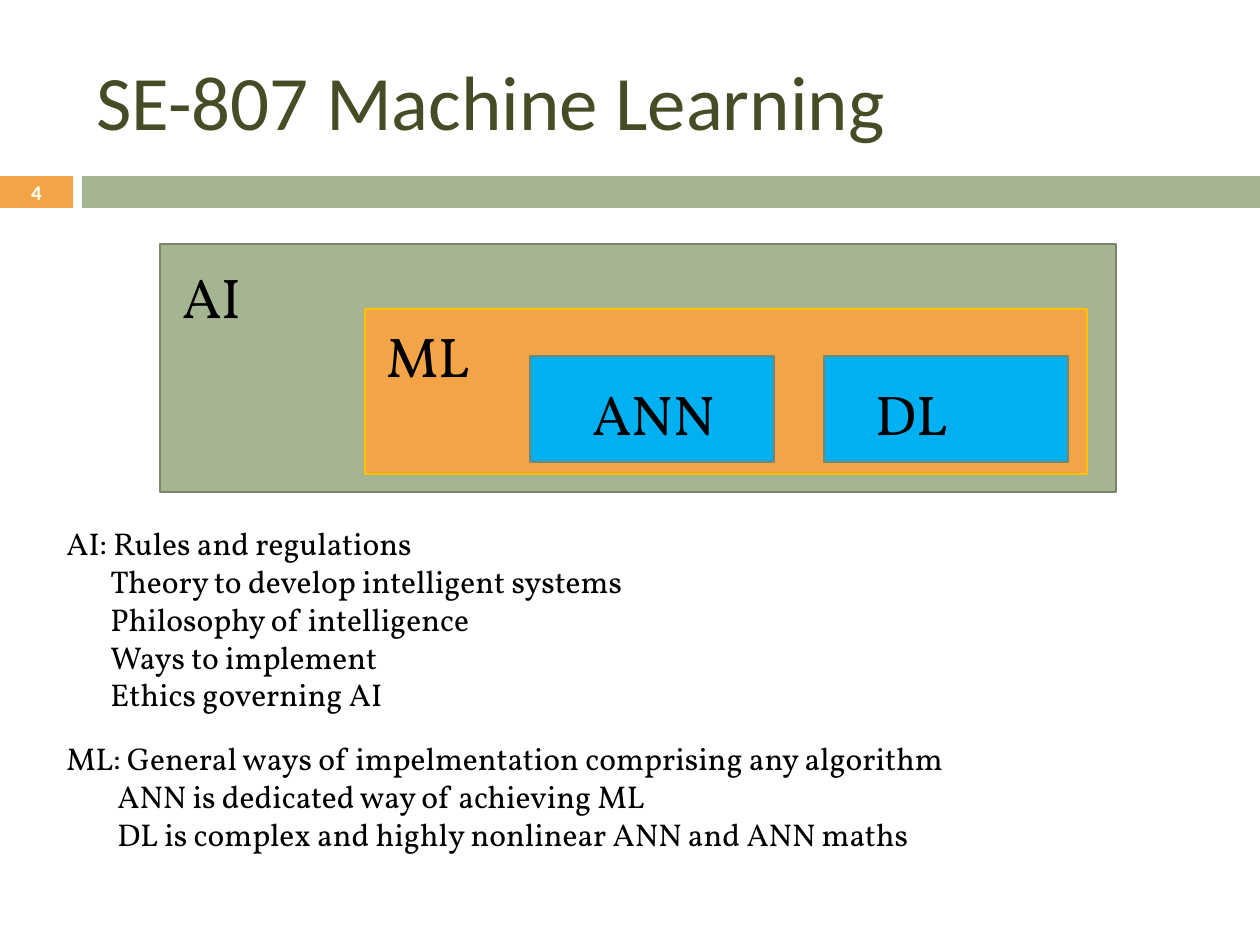
from pptx import Presentation
from pptx.dml.color import RGBColor
from pptx.enum.shapes import MSO_SHAPE
from pptx.enum.text import MSO_ANCHOR, PP_ALIGN
from pptx.util import Pt

EMU_PER_PX = 914400 / 126
COLORS = {
    "olive": "444D26", "green": "A5B592", "orange": "F3A447", "blue": "00B0F0",
    "edge": "7A866C", "gold": "FFC000", "black": "000000", "white": "FFFFFF",
}
TITLE = "SE-807 Machine Learning"
PAGE = "4"
BANDS = [((0, 176, 73, 32), "orange"), ((82, 176, 1178, 32), "green")]

# box, fill, line
FIELDS = [
    ((160, 244, 956, 248), "green", "edge"),
    ((365, 309, 722, 165), "orange", "gold"),
    ((824, 356, 244, 106), "blue", "edge"),
    ((530, 356, 244, 106), "blue", "edge"),
]
FIELD_LABELS = [
    ("AI", (170, 256, 244, 48)),
    ("ML", (374, 315, 195, 48)),
    ("ANN", (580, 373, 166, 48)),
    ("DL", (863, 373, 175, 48)),
]
# box, indent of the lines after the first, lines
NOTES = [
    ((54, 518, 610, 204), 44, [
        "AI: Rules and regulations",
        "Theory to develop intelligent systems",
        "Philosophy of intelligence",
        "Ways to implement",
        "Ethics governing AI",
    ]),
    ((54, 733, 926, 127), 51, [
        "ML: General ways of impelmentation comprising any algorithm",
        "ANN is dedicated way of achieving ML",
        "DL is complex and highly nonlinear ANN and ANN maths",
    ]),
]


def px(n):
    return round(n * EMU_PER_PX)


def rgb(name):
    return RGBColor.from_string(COLORS[name])


def add_rect(shapes, box, fill, line=None):
    s = shapes.add_shape(MSO_SHAPE.RECTANGLE, *map(px, box))
    s.shadow.inherit = False
    s.fill.solid()
    s.fill.fore_color.rgb = rgb(fill)
    if line:
        s.line.color.rgb = rgb(line)
        s.line.width = Pt(1.5)
    else:
        s.line.fill.background()


def add_text(shapes, box, lines, size, font="Vollkorn", color="black",
             anchor=MSO_ANCHOR.TOP, align=PP_ALIGN.LEFT, bold=False, indent=0, wrap=True):
    tf = shapes.add_textbox(*map(px, box)).text_frame
    tf.word_wrap = wrap
    tf.vertical_anchor = anchor
    for i, line in enumerate(lines):
        p = tf.paragraphs[0] if i == 0 else tf.add_paragraph()
        p.text = line
        p.alignment = align
        if i and indent:
            p._p.get_or_add_pPr().set("marL", str(px(indent)))
        p.font.name = font
        p.font.size = Pt(size)
        p.font.bold = bold
        p.font.color.rgb = rgb(color)


prs = Presentation()
prs.slide_width, prs.slide_height = px(1260), px(945)
shapes = prs.slides.add_slide(prs.slide_layouts[6]).shapes

for box, fill in BANDS:
    add_rect(shapes, box, fill)
add_text(shapes, (84, 32, 1124, 136), [TITLE], 44, "Calibri", "olive", MSO_ANCHOR.MIDDLE)
add_text(shapes, (0, 175, 73, 34), [PAGE], 11.9, "Calibri", "white",
         MSO_ANCHOR.MIDDLE, PP_ALIGN.CENTER, bold=True)

diagram = shapes.add_group_shape().shapes
for box, fill, line in FIELDS:
    add_rect(diagram, box, fill, line)
for label, box in FIELD_LABELS:
    add_text(diagram, box, [label], 32)

for box, indent, lines in NOTES:
    add_text(shapes, box, lines, 18, indent=indent, wrap=False)

prs.save("out.pptx")
